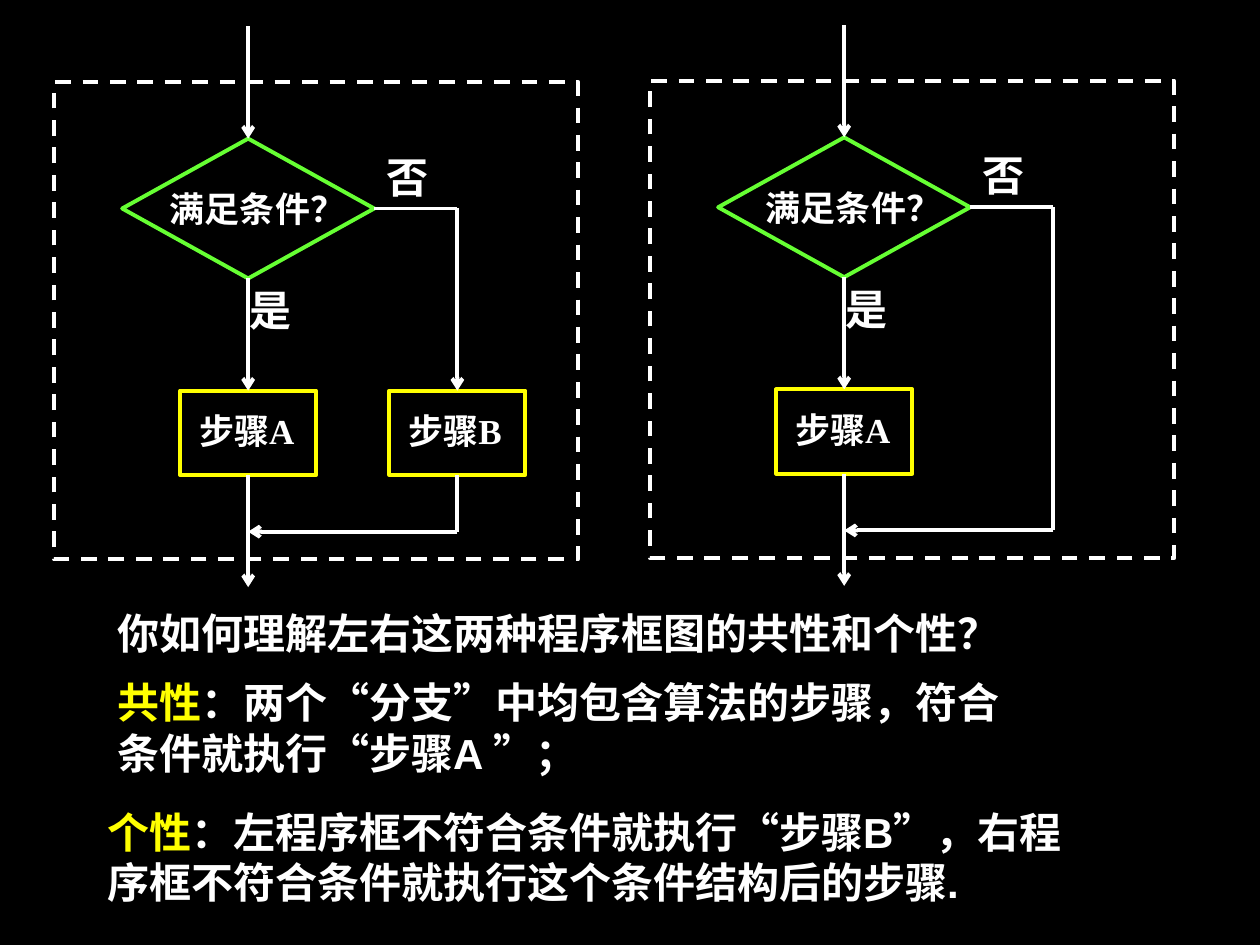
from dataclasses import dataclass
from lxml import etree
from pptx import Presentation
from pptx import util as u
from pptx.dml.color import RGBColor
from pptx.enum import dml, shapes, text
from pptx.oxml import ns


@dataclass(frozen=True)
class Theme:
    back: str = "000000"
    ink: str = "FFFFFF"
    decision: str = "66FF33"
    accent: str = "FFFF00"
    line: float = 2.25
    small: int = 20
    large: int = 24
    chart_font: str = "Times New Roman"
    body_font: str = "Arial"


T = Theme()
W, H = 10, 7.5

CHARTS = [
    {"x": 0.43, "y": 0.65, "no_step": "步骤B"},
    {"x": 5.16, "y": 0.64, "no_step": None},
]
CONDITION, YES, NO, YES_STEP = "满足条件？", "是", "否", "步骤A"
NOTES = [
    ((0.83, 4.77, 7.32, 0.5), [("你如何理解左右这两种程序框图的共性和个性？", T.ink)]),
    ((0.83, 5.32, 7.25, 0.9), [
        ("共性", T.accent),
        ("：两个“分支”中均包含算法的步骤，符合条件就执行“步骤A ”；", T.ink)]),
    ((0.75, 6.35, 7.87, 0.9), [
        ("个性", T.accent),
        ("：左程序框不符合条件就执行“步骤B”，右程序框不符合条件就执行这个条件结构后的步骤.", T.ink)]),
]

FRAME_W, FRAME_H = 4.16, 3.79
AXIS, BYPASS = 1.54, 3.2
DIAMOND_W, DIAMOND_H, DIAMOND_TOP = 2.0, 1.11, 0.45
STEP_W, STEP_H, STEP_TOP = 1.08, 0.67, 2.45
ARROW, JOIN = 0.89, 3.57
TOP, LEFT, BOTTOM, RIGHT = range(4)


def rgb(value):
    return RGBColor.from_string(value)


def inches(*values):
    return [u.Inches(v) for v in values]


def style_run(r, size, font, color):
    r.font.size, r.font.name, r.font.bold = u.Pt(size), font, True
    r.font.color.rgb = rgb(color)


def set_insets(tf, x=0.1, y=0.05):
    tf.margin_left, tf.margin_top, tf.margin_right, tf.margin_bottom = inches(x, y, 0, 0)
    tf.vertical_anchor = text.MSO_ANCHOR.TOP


def write_label(tf, words, size):
    tf.word_wrap = False
    tf.text = words
    p = tf.paragraphs[0]
    p.alignment = text.PP_ALIGN.LEFT
    style_run(p.runs[0], size, T.chart_font, T.ink)


class Flowchart:
    def __init__(self, s, x, y):
        self.group = s.shapes.add_group_shape()
        self.x, self.y = x, y

    def box(self, kind, x, y, w, h, color):
        sp = self.group.shapes.add_shape(kind, *inches(self.x + x, self.y + y, w, h))
        sp.shadow.inherit = False
        sp.fill.background()
        sp.line.color.rgb, sp.line.width = rgb(color), u.Pt(T.line)
        return sp

    def step(self, words, center):
        sp = self.box(shapes.MSO_SHAPE.RECTANGLE, center - STEP_W / 2, STEP_TOP,
                      STEP_W, STEP_H, T.accent)
        set_insets(sp.text_frame, 0.15, 0.15)
        write_label(sp.text_frame, words, T.small)
        return sp

    def label(self, words, x, y, w, size):
        tb = self.group.shapes.add_textbox(*inches(self.x + x, self.y + y, w, STEP_H))
        set_insets(tb.text_frame)
        write_label(tb.text_frame, words, size)

    def line(self, start, end, begin=None, finish=None, arrow=True):
        c = self.group.shapes.add_connector(
            shapes.MSO_CONNECTOR.STRAIGHT,
            *inches(self.x + start[0], self.y + start[1], self.x + end[0], self.y + end[1]))
        c.line.color.rgb, c.line.width = rgb(T.ink), u.Pt(T.line)
        spPr = c._element.spPr
        if arrow:
            etree.SubElement(spPr.find(ns.qn("a:ln")), ns.qn("a:tailEnd"), type="arrow")
        etree.SubElement(spPr, ns.qn("a:effectLst"))
        if begin:
            c.begin_connect(*begin)
        if finish:
            c.end_connect(*finish)


def draw_chart(s, x, y, no_step):
    f = Flowchart(s, x, y)
    middle = DIAMOND_TOP + DIAMOND_H / 2
    diamond_end = DIAMOND_TOP + DIAMOND_H
    step_end = STEP_TOP + STEP_H
    frame = f.box(shapes.MSO_SHAPE.RECTANGLE, 0, 0, FRAME_W, FRAME_H, T.ink)
    frame.line.dash_style = dml.MSO_LINE.DASH
    decision = f.box(shapes.MSO_SHAPE.DIAMOND, AXIS - DIAMOND_W / 2, DIAMOND_TOP,
                     DIAMOND_W, DIAMOND_H, T.decision)
    f.label(CONDITION, 0.82, 0.79, 1.89, T.small)
    f.label(YES, 1.45, 1.56, 0.54, T.large)
    f.label(NO, 2.54, 0.5, 0.54, T.large)
    yes = f.step(YES_STEP, AXIS)

    f.line((AXIS, DIAMOND_TOP - ARROW), (AXIS, DIAMOND_TOP), finish=(decision, TOP))
    f.line((AXIS, diamond_end), (AXIS, STEP_TOP), (decision, BOTTOM), (yes, TOP))
    f.line((AXIS, step_end), (AXIS, step_end + ARROW), (yes, BOTTOM))
    f.line((AXIS + DIAMOND_W / 2, middle), (BYPASS, middle), (decision, RIGHT), arrow=False)
    f.line((BYPASS, JOIN), (AXIS, JOIN))
    if no_step:
        no = f.step(no_step, BYPASS)
        f.line((BYPASS, middle), (BYPASS, STEP_TOP), finish=(no, TOP))
        f.line((BYPASS, step_end), (BYPASS, JOIN), (no, BOTTOM), arrow=False)
    else:
        f.line((BYPASS, middle), (BYPASS, JOIN), arrow=False)


def write_note(holder, place, runs):
    holder.left, holder.top, holder.width, holder.height = inches(*place)
    tf = holder.text_frame
    tf.word_wrap, tf.auto_size = True, text.MSO_AUTO_SIZE.NONE
    set_insets(tf)
    p = tf.paragraphs[0]
    p.alignment, p.space_before = text.PP_ALIGN.LEFT, u.Pt(0)
    pPr = p._p.get_or_add_pPr()
    pPr.set("marL", "0")
    pPr.set("indent", "0")
    etree.SubElement(pPr, ns.qn("a:buNone"))
    for words, color in runs:
        r = p.add_run()
        r.text = words
        style_run(r, T.large, T.body_font, color)


def main():
    prs = Presentation()
    prs.slide_width, prs.slide_height = inches(W, H)
    s = prs.slides.add_slide(prs.slide_layouts.get_by_name("Two Content"))
    s.background.fill.solid()
    s.background.fill.fore_color.rgb = rgb(T.back)
    for holder, (place, runs) in zip(s.placeholders, NOTES):
        write_note(holder, place, runs)
    for chart in CHARTS:
        draw_chart(s, **chart)
    prs.save("out.pptx")


if __name__ == "__main__":
    main()
